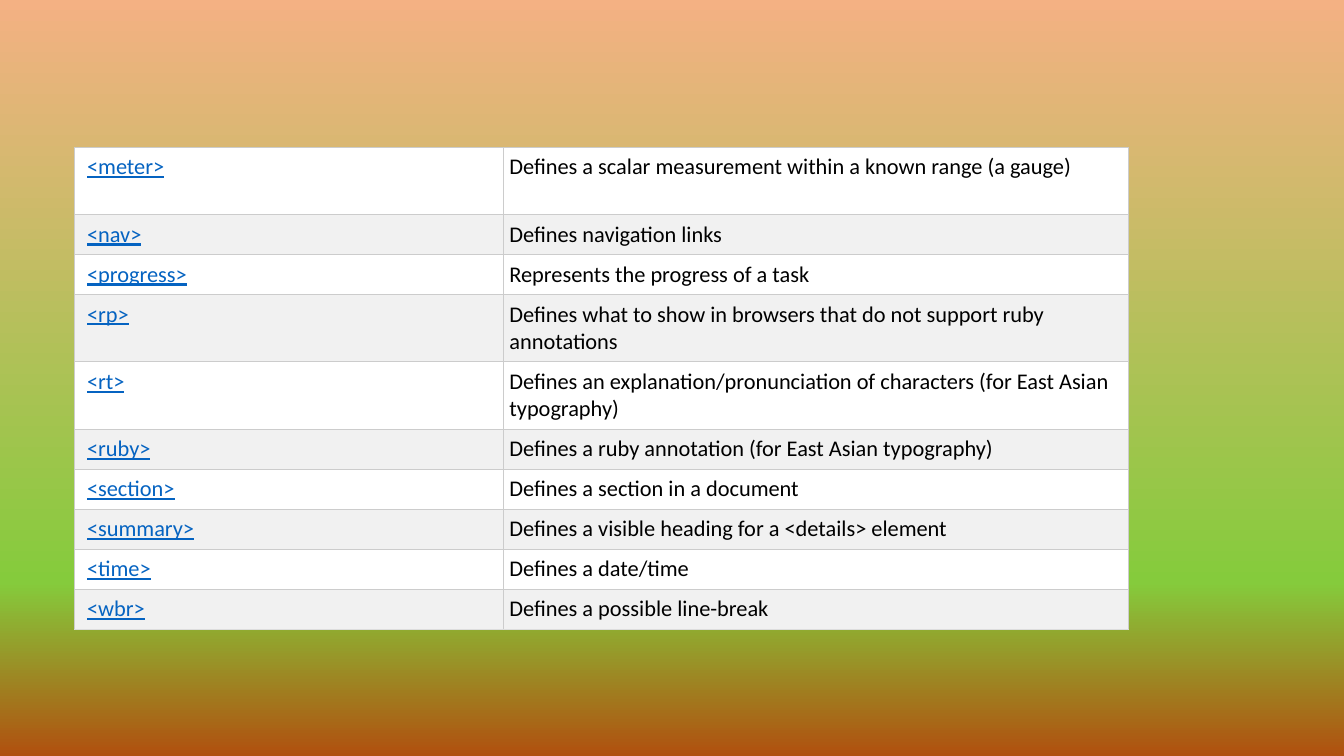
from dataclasses import dataclass

from lxml.etree import SubElement
from pptx import Presentation
from pptx.dml.color import RGBColor
from pptx.oxml.ns import qn
from pptx.slide import Slide
from pptx.table import _Cell as Cell
from pptx.util import Pt


@dataclass(frozen=True)
class Theme:
    font: str = "Calibri"
    text_size: float = 16
    text: str = "000000"
    link: str = "0563C1"
    row_fills: tuple[str, str] = ("FFFFFF", "F1F1F1")
    border: str = "CCCCCC"
    last_border: str = "DDDDDD"
    border_width: float = 0.6


@dataclass(frozen=True)
class GradientStop:
    """Position and opacity are percentages."""
    position: int
    color: str
    opacity: int = 100


@dataclass(frozen=True)
class TagRow:
    tag: str
    meaning: str
    tall: bool = False


THEME = Theme()
BACKGROUND = (
    GradientStop(0, "B0500F"),
    GradientStop(23, "85CB3C", opacity=86),
    GradientStop(100, "F4B183"),
)
TAG_ROWS = (
    TagRow("<meter>", "Defines a scalar measurement within a known range (a gauge)", tall=True),
    TagRow("<nav>", "Defines navigation links"),
    TagRow("<progress>", "Represents the progress of a task"),
    TagRow("<rp>", "Defines what to show in browsers that do not support ruby annotations", tall=True),
    TagRow("<rt>", "Defines an explanation/pronunciation of characters (for East Asian typography)", tall=True),
    TagRow("<ruby>", "Defines a ruby annotation (for East Asian typography)"),
    TagRow("<section>", "Defines a section in a document"),
    TagRow("<summary>", "Defines a visible heading for a <details> element"),
    TagRow("<time>", "Defines a date/time"),
    TagRow("<wbr>", "Defines a possible line-break"),
)
TABLE_LEFT, TABLE_TOP = 53.2, 105.2
COLUMN_WIDTHS = (306.2, 446.8)
ROW_HEIGHT, TALL_ROW_HEIGHT = 28.4, 48
CELL_MARGIN, TAG_INDENT = 4.5, 9


def paint_background(slide: Slide, stops: tuple[GradientStop, ...]) -> None:
    """Fill the slide with a gradient whose first stop is at the bottom."""
    fill = slide.background.fill
    fill.gradient()
    fill.gradient_angle = 90
    stop_list = next(slide.background._cSld.iter(qn("a:gsLst")))
    for old_stop in list(stop_list):
        stop_list.remove(old_stop)
    for stop in stops:
        node = SubElement(stop_list, qn("a:gs"), pos=str(stop.position * 1000))
        color = SubElement(node, qn("a:srgbClr"), val=stop.color)
        if stop.opacity < 100:
            SubElement(color, qn("a:alpha"), val=str(stop.opacity * 1000))


def write_text(cell: Cell, text: str, *, color: str, underline: bool, indent: float) -> None:
    cell.margin_left = Pt(indent)
    cell.margin_right = cell.margin_top = cell.margin_bottom = Pt(CELL_MARGIN)
    span = cell.text_frame.paragraphs[0].add_run()
    span.text = text
    span.font.name = THEME.font
    span.font.size = Pt(THEME.text_size)
    span.font.color.rgb = RGBColor.from_string(color)
    span.font.underline = underline


def style_cell(cell: Cell, fill: str, bottom_border: str) -> None:
    properties = cell._tc.get_or_add_tcPr()
    borders = dict.fromkeys(("lnL", "lnR", "lnT"), THEME.border) | {"lnB": bottom_border}
    for side, color in borders.items():
        line = SubElement(properties, qn(f"a:{side}"), w=str(Pt(THEME.border_width)))
        SubElement(SubElement(line, qn("a:solidFill")), qn("a:srgbClr"), val=color)
    cell.fill.solid()
    cell.fill.fore_color.rgb = RGBColor.from_string(fill)


def add_tag_table(slide: Slide, tag_rows: tuple[TagRow, ...]) -> None:
    heights = [TALL_ROW_HEIGHT if row.tall else ROW_HEIGHT for row in tag_rows]
    table = slide.shapes.add_table(
        len(tag_rows), len(COLUMN_WIDTHS), Pt(TABLE_LEFT), Pt(TABLE_TOP),
        Pt(sum(COLUMN_WIDTHS)), Pt(sum(heights)),
    ).table
    table.first_row = table.horz_banding = False
    for column, width in zip(table.columns, COLUMN_WIDTHS):
        column.width = Pt(width)
    for index, (row, height) in enumerate(zip(tag_rows, heights)):
        table.rows[index].height = Pt(height)
        tag_cell, meaning_cell = table.rows[index].cells
        is_last = index == len(tag_rows) - 1
        for cell in (tag_cell, meaning_cell):
            style_cell(cell, THEME.row_fills[index % 2],
                       THEME.last_border if is_last else THEME.border)
        write_text(tag_cell, row.tag, color=THEME.link, underline=True, indent=TAG_INDENT)
        write_text(meaning_cell, row.meaning, color=THEME.text, underline=False,
                   indent=CELL_MARGIN)


def main() -> None:
    deck = Presentation()
    deck.slide_width, deck.slide_height = Pt(960), Pt(540)
    page = deck.slides.add_slide(deck.slide_layouts[6])
    paint_background(page, BACKGROUND)
    add_tag_table(page, TAG_ROWS)
    deck.save("out.pptx")


if __name__ == "__main__":
    main()
